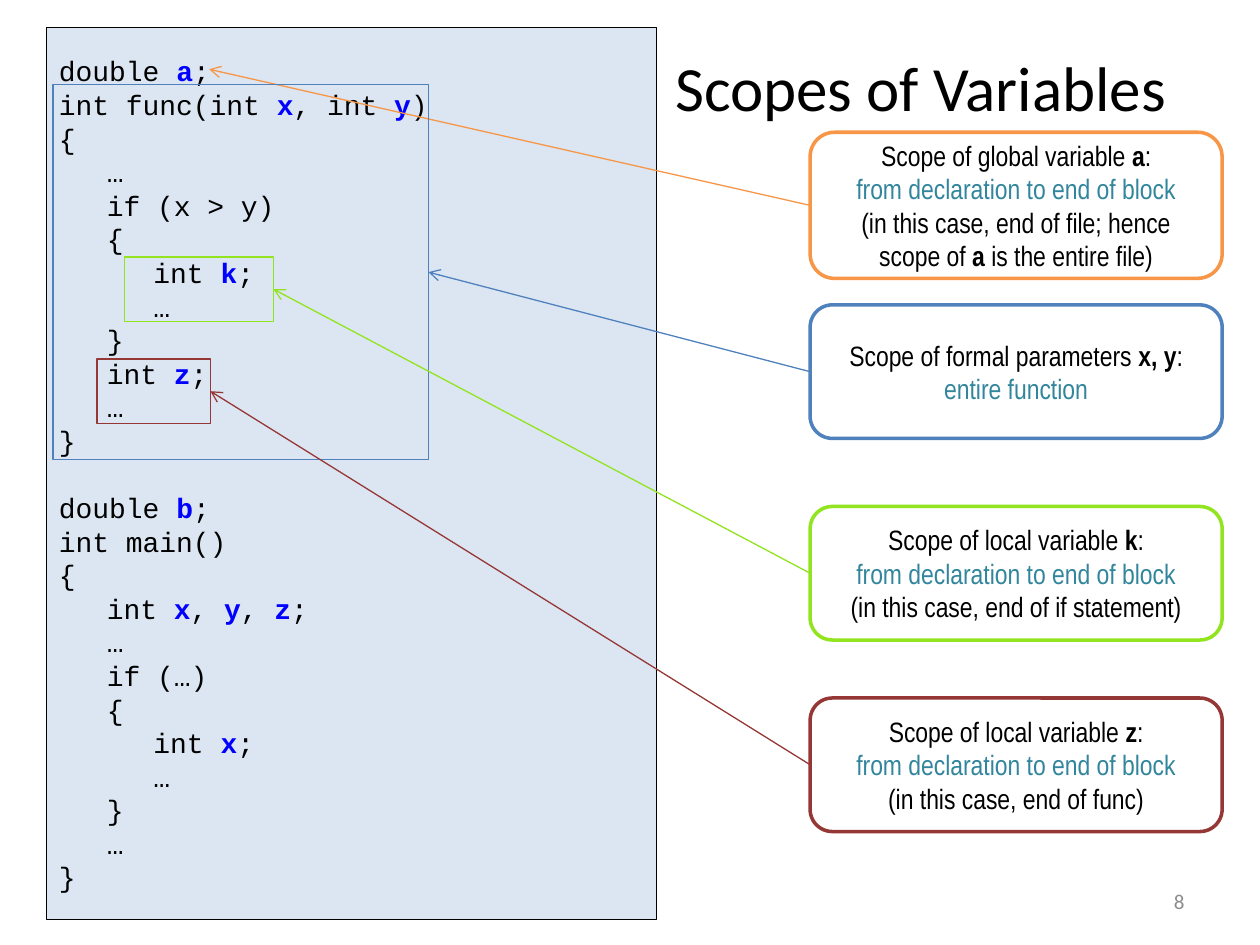
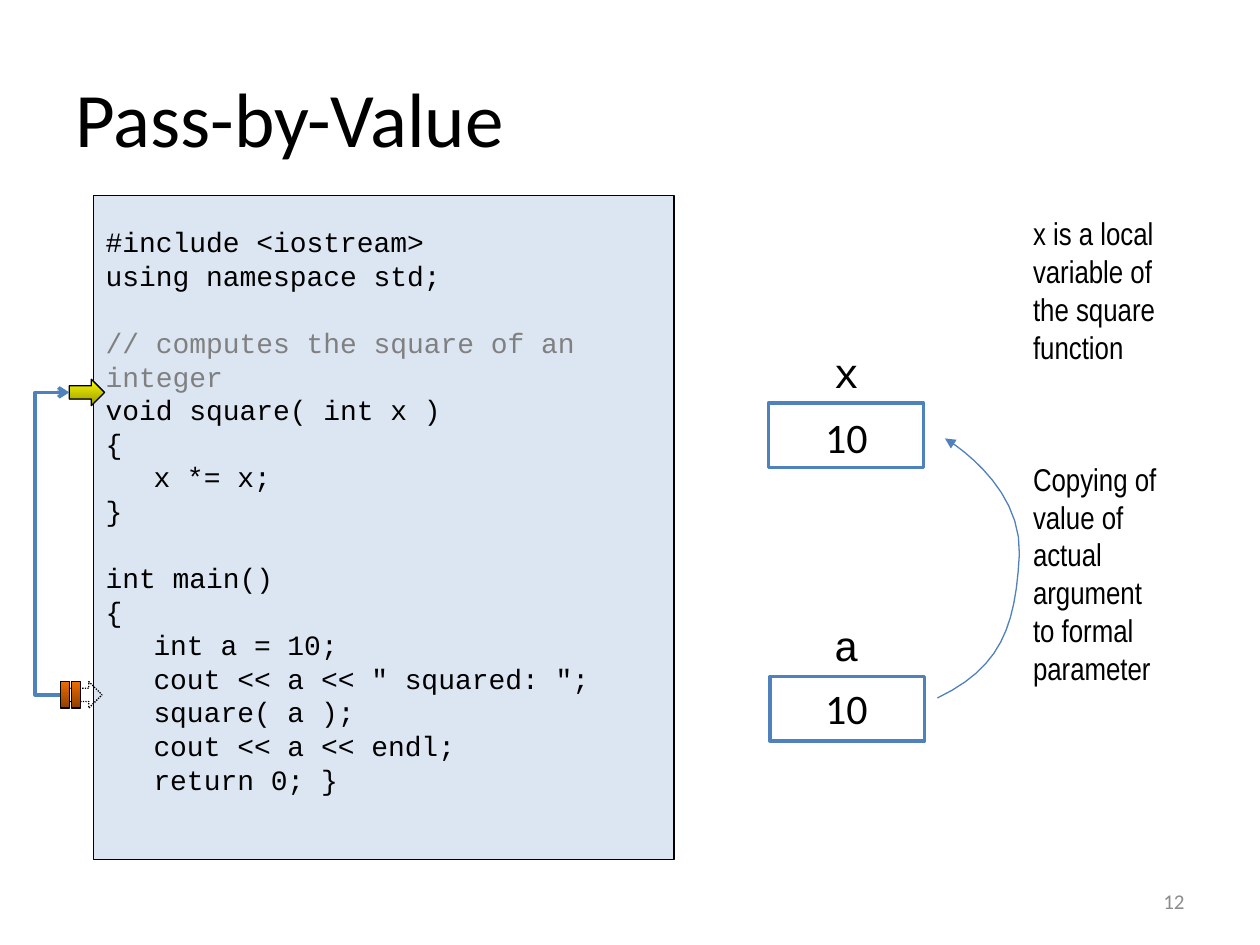
"""Build two slides on variable scopes and pass-by-value in C++."""
import lxml.etree
import pptx
import pptx.dml.color
import pptx.enum.dml
import pptx.enum.shapes
import pptx.enum.text
import pptx.oxml.ns
import pptx.util

Inches = pptx.util.Inches
Pt = pptx.util.Pt
qn = pptx.oxml.ns.qn
SHAPE = pptx.enum.shapes.MSO_SHAPE
CONNECTOR = pptx.enum.shapes.MSO_CONNECTOR
ALIGN = pptx.enum.text.PP_ALIGN
ANCHOR = pptx.enum.text.MSO_ANCHOR

COLORS = {
    "black": "000000", "white": "FFFFFF", "code": "DCE6F2", "variable": "0000FF",
    "comment": "808080", "number": "8C8C8C", "teal": "31859C", "orange": "F79646",
    "blue": "4F81BD", "green": "91E41E", "red": "953735",
    "dark yellow": "979700", "yellow": "FFFF00", "dark rust": "8D4000", "rust": "EE6B00",
}
RGB = {name: pptx.dml.color.RGBColor.from_string(value) for name, value in COLORS.items()}
CODE_FONT, NOTE_FONT, TITLE_FONT = "Courier New", "Arial Narrow", "Calibri"
CODE_SIZE = 16
CODE_TABS = (0.38, 0.75)
LINE_FACTOR = 1.2


def add_box(slide, kind, place, fill=None, line=None, width=0.75):
    """Add a preset shape, or a text box when kind is None."""
    place = [Inches(value) for value in place]
    if kind is None:
        return slide.shapes.add_textbox(*place)
    box = slide.shapes.add_shape(kind, *place)
    box.shadow.inherit = False
    if isinstance(fill, tuple):
        box.fill.gradient()
        box.fill.gradient_angle = 90
        for stop, color in zip(box.fill.gradient_stops, fill):
            stop.color.rgb = RGB[color]
    elif fill:
        box.fill.solid()
        box.fill.fore_color.rgb = RGB[fill]
    else:
        box.fill.background()
    box.line.color.rgb = RGB[line]
    box.line.width = Pt(width)
    return box


def write(box, lines, size, font, align=ALIGN.LEFT, anchor=ANCHOR.MIDDLE, color="black", marked="black"):
    """Write lines; parts between ~ are bold, and an empty line becomes a gap."""
    frame = box.text_frame
    frame.word_wrap = True
    frame.vertical_anchor = anchor
    paragraph, gap = None, 0
    for line in lines:
        if not line:
            gap = size * LINE_FACTOR
            continue
        paragraph = frame.add_paragraph() if paragraph is not None else frame.paragraphs[0]
        paragraph.alignment = align
        paragraph.line_spacing = Pt(size * LINE_FACTOR)
        if gap:
            paragraph.space_before, gap = Pt(gap), 0
        if font == CODE_FONT:
            stops = lxml.etree.SubElement(paragraph._p.get_or_add_pPr(), qn("a:tabLst"))
            for stop in CODE_TABS:
                lxml.etree.SubElement(stops, qn("a:tab"), pos=str(Inches(stop)), algn="l")
        for index, part in enumerate(line.split("~")):
            if part:
                run = paragraph.add_run()
                run.text = part
                run.font.size, run.font.name = Pt(size), font
                run.font.bold = index % 2 == 1
                run.font.color.rgb = RGB[marked if index % 2 else color]


presentation = pptx.Presentation()
presentation.slide_width, presentation.slide_height = Inches(10), Inches(7.5)

scope_code = """double ~a~;
int func(int ~x~, int ~y~)
{
\t…
\tif (x > y)
\t{
\t\tint ~k~;
\t\t…
\t}
\tint ~z~;
\t…
}

double ~b~;
int main()
{
\tint ~x~, ~y~, ~z~;
\t…
\tif (…)
\t{
\t\tint ~x~;
\t\t…
\t}
\t…
}"""
square_code = """#include <iostream>
using namespace std;

// computes the square of an integer
void square( int x )
{
\tx *= x;
}

int main()
{
\tint a = 10;
\tcout << a << " squared: ";
\tsquare( a );
\tcout << a << endl;
\treturn 0; }"""

pages = []
for title, title_place, title_size, number, code, code_place in (
    ("Scopes of Variables", (5.26, 0.06, 4.74, 1.25), 36, "8", scope_code, (0.37, 0.22, 4.84, 7.08)),
    ("Pass-by-Value", (0.5, 0.3, 9, 1.25), 44, "12", square_code, (0.74, 1.55, 4.61, 5.27)),
):
    slide = presentation.slides.add_slide(presentation.slide_layouts[6])
    write(add_box(slide, None, title_place), [title], title_size, TITLE_FONT)
    listing = add_box(slide, SHAPE.RECTANGLE, code_place, "code", "black")
    write(listing, code.split("\n"), CODE_SIZE, CODE_FONT, marked="variable")
    write(add_box(slide, None, (7.17, 6.95, 2.33, 0.4)), [number], 12, TITLE_FONT,
          ALIGN.RIGHT, color="number")
    pages.append((slide, listing))

(scopes, _), (passing, square_listing) = pages
arrows = []

block_end = "from declaration to end of block"
for color, top, height, region, note in (
    ("orange", 1.05, 1.16, None,
     ["Scope of global variable ~a~:", block_end,
      "(in this case, end of file; hence", "scope of ~a~ is the entire file)"]),
    ("blue", 2.42, 1.06, (0.42, 0.67, 2.98, 2.98),
     ["Scope of formal parameters ~x, y~:", "entire function"]),
    ("green", 4.02, 1.06, (0.99, 2.04, 1.18, 0.51),
     ["Scope of local variable ~k~:", block_end, "(in this case, end of if statement)"]),
    ("red", 5.54, 1.06, (0.77, 2.85, 0.9, 0.51),
     ["Scope of local variable ~z~:", block_end, "(in this case, end of func)"]),
):
    callout = add_box(scopes, SHAPE.ROUNDED_RECTANGLE, (6.43, top, 3.27, height), "white", color, 2)
    write(callout, note, 16, NOTE_FONT, ALIGN.CENTER)
    for run in callout.text_frame.paragraphs[1].runs:
        run.font.color.rgb = RGB["teal"]
    pointer = scopes.shapes.add_connector(
        CONNECTOR.STRAIGHT, Inches(6.43), Inches(top + height / 2), Inches(1.66), Inches(0.55))
    pointer.begin_connect(callout, 1)
    if region:
        pointer.end_connect(add_box(scopes, SHAPE.RECTANGLE, region, None, color), 3)
    arrows.append((pointer, color, 0.75, "arrow"))

square_listing.text_frame.margin_bottom = Inches(0.32)
for run in square_listing.text_frame.paragraphs[2].runs:
    run.font.color.rgb = RGB["comment"]

current_step = add_box(passing, SHAPE.RIGHT_ARROW, (0.55, 3.01, 0.28, 0.21),
                       ("dark yellow", "yellow"), "black")
paused_step = add_box(passing, SHAPE.RIGHT_ARROW, (0.53, 5.41, 0.28, 0.21), None, "black")
paused_step.line.dash_style = pptx.enum.dml.MSO_LINE.ROUND_DOT

call = passing.shapes.add_connector(
    CONNECTOR.ELBOW, Inches(0.53), Inches(5.52), Inches(0.55), Inches(3.12))
call.begin_connect(paused_step, 1)
call.end_connect(current_step, 1)
guides = call._element.spPr.find(qn("a:prstGeom")).get_or_add_avLst()
lxml.etree.SubElement(guides, qn("a:gd"), name="adj1", fmla="val -1250000")
arrows.append((call, "blue", 2, "arrow"))

for left in (0.48, 0.57):
    add_box(passing, SHAPE.RECTANGLE, (left, 5.41, 0.07, 0.21), ("dark rust", "rust"), "black")

for name, left, label_top, cell_top, value_top in (
    ("a", 6.11, 4.87, 5.37, 5.37),
    ("x", 6.1, 2.7, 3.2, 3.22),
):
    add_box(passing, SHAPE.RECTANGLE, (left, cell_top, 1.23, 0.51), "white", "blue", 2)
    label = add_box(passing, None, (6.52, label_top, 0.39, 0.5))
    write(label, [name], 24, CODE_FONT, anchor=ANCHOR.TOP)
    label.text_frame.word_wrap = False
    write(add_box(passing, None, (6.45, value_top, 0.76, 0.5)), ["10"], 24, TITLE_FONT,
          anchor=ANCHOR.TOP)

curve = []
for bends in (
    ((7.44, 5.54), (7.94, 5.3), (8.06, 4.98), (8.09, 4.4)),
    ((8.09, 4.4), (8.11, 3.83), (7.5, 3.48), (7.5, 3.48)),
):
    for step in range(1, 13):
        t = step / 12
        weights = ((1 - t) ** 3, 3 * t * (1 - t) ** 2, 3 * t * t * (1 - t), t ** 3)
        curve.append(tuple(Inches(sum(w * bend[axis] for w, bend in zip(weights, bends)))
                           for axis in (0, 1)))
builder = passing.shapes.build_freeform(Inches(7.44), Inches(5.54))
builder.add_line_segments(curve, close=False)
value_copy = builder.convert_to_shape()
value_copy.fill.background()
arrows.append((value_copy, "blue", 0.75, "triangle"))

for top, height, note in (
    (3.6, 1.92, "Copying of value of actual argument to formal parameter"),
    (1.65, 1.31, "x is a local variable of the square function"),
):
    write(add_box(passing, None, (8.1, top, 1.19, height)), [note], 18, NOTE_FONT,
          anchor=ANCHOR.TOP)

for arrow, color, width, head in arrows:
    arrow.line.color.rgb = RGB[color]
    arrow.line.width = Pt(width)
    properties = arrow._element.spPr
    lxml.etree.SubElement(properties.find(qn("a:ln")), qn("a:tailEnd"), type=head)
    lxml.etree.SubElement(properties, qn("a:effectLst"))

presentation.save("out.pptx")
